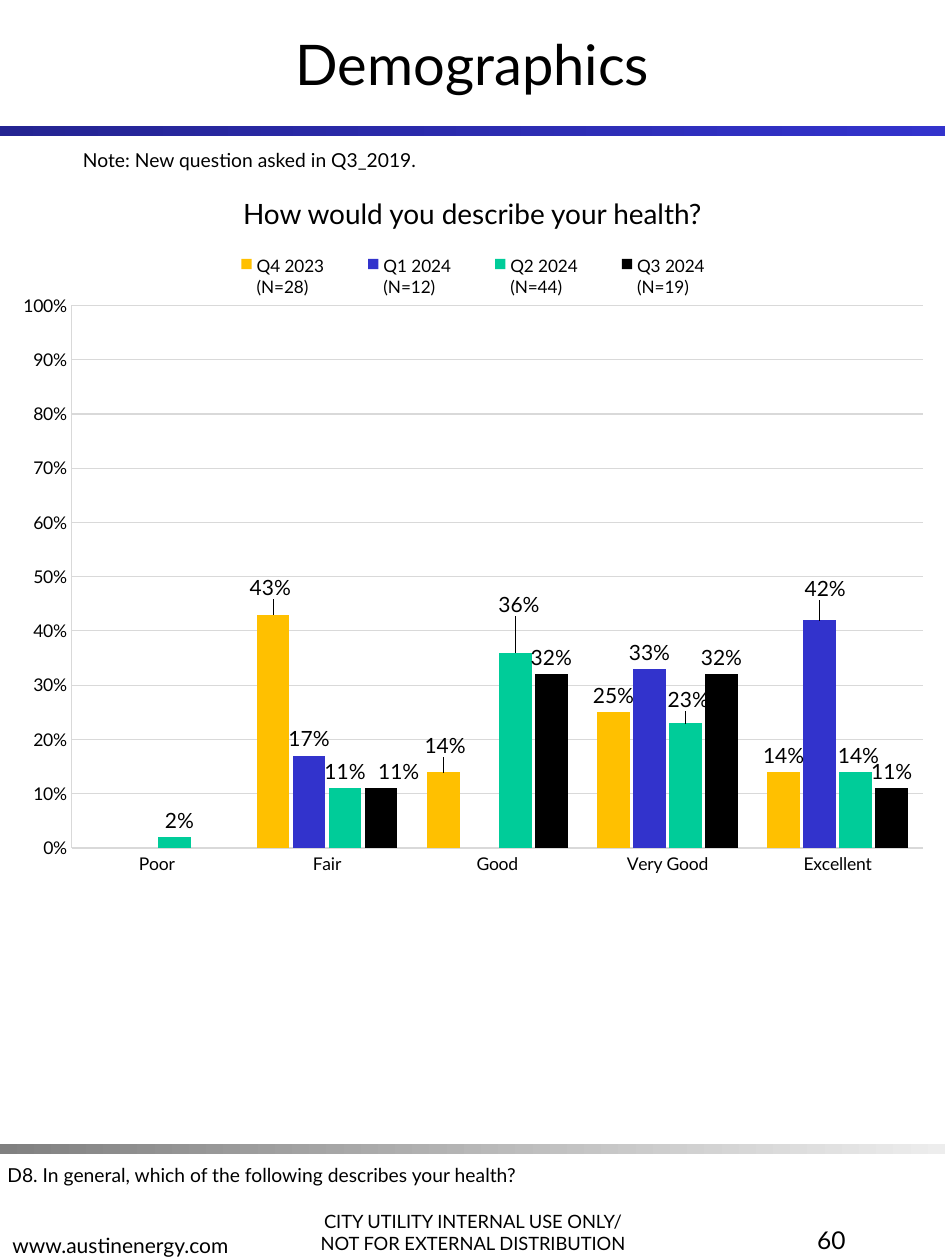
from dataclasses import dataclass

from pptx import Presentation
from pptx.chart.data import CategoryChartData
from pptx.dml.color import RGBColor
from pptx.enum.chart import XL_CHART_TYPE, XL_LABEL_POSITION, XL_LEGEND_POSITION, XL_TICK_MARK
from pptx.enum.shapes import MSO_SHAPE
from pptx.enum.text import MSO_ANCHOR, PP_ALIGN
from pptx.oxml import parse_xml
from pptx.oxml.ns import nsdecls, qn
from pptx.util import Inches, Pt


@dataclass(frozen=True)
class Theme:
    font: str = "Lato"
    text: str = "000000"
    grid: str = "D9D9D9"
    title: float = 32
    question: float = 16
    page: float = 14
    label: float = 12
    note: float = 11
    notice: float = 10.5
    axis: float = 10
    legend: float = 9.8


@dataclass(frozen=True)
class Band:
    top: float
    start: str
    end: str


@dataclass(frozen=True)
class Quarter:
    name: str
    values: tuple
    color: str
    shifts: dict


THEME = Theme()
BANDS = [Band(1, "242492", "3333CC"), Band(9.08, "808080", "EDEDED")]
RATINGS = ["Poor", "Fair", "Good", "Very Good", "Excellent"]
QUARTERS = [
    Quarter("Q4 2023\n(N=28)", (None, 0.43, 0.14, 0.25, 0.14), "FFC000",
            {1: (-0.003, -0.015), 2: (0.002, -0.015)}),
    Quarter("Q1 2024\n(N=12)", (None, 0.17, None, 0.33, 0.42), "3233CC",
            {4: (0.006, -0.022)}),
    Quarter("Q2 2024\n(N=44)", (0.02, 0.11, 0.36, 0.23, 0.14), "00CC99",
            {0: (0.005, 0), 2: (0.004, -0.046), 3: (0.003, -0.01), 4: (0.003, 0)}),
    Quarter("Q3 2024\n(N=19)", (None, 0.11, 0.32, 0.32, 0.11), "000000",
            {1: (0.019, 0)}),
]


def rgb(color: str) -> RGBColor:
    return RGBColor.from_string(color)


def style_font(font, size: float) -> None:
    font.name = THEME.font
    font.size = Pt(size)
    font.bold = False
    font.color.rgb = rgb(THEME.text)


def add_text(slide, text: str, left: float, top: float, width: float, height: float, *,
             size: float, align=PP_ALIGN.LEFT, anchor=MSO_ANCHOR.TOP) -> None:
    sp = slide.shapes.add_textbox(Inches(left), Inches(top), Inches(width), Inches(height))
    tf = sp.text_frame
    tf.word_wrap = True
    tf.vertical_anchor = anchor
    for i, line in enumerate(text.split("\n")):
        p = tf.paragraphs[0] if i == 0 else tf.add_paragraph()
        p.alignment = align
        r = p.add_run()
        r.text = line
        style_font(r.font, size)


def add_band(slide, band: Band) -> None:
    sp = slide.shapes.add_shape(MSO_SHAPE.RECTANGLE, 0, Inches(band.top), Inches(7.5), Inches(0.08))
    sp.shadow.inherit = False
    sp.line.fill.background()
    sp.fill.gradient()
    sp.fill.gradient_angle = 0
    for stop, color, position in zip(sp.fill.gradient_stops, (band.start, band.end), (0, 1)):
        stop.color.rgb = rgb(color)
        stop.position = position


def set_layout(parent, index: int, **settings) -> None:
    for old in parent.findall(qn("c:layout")):
        parent.remove(old)
    items = "".join(f'<c:{key} val="{value}"/>' for key, value in settings.items())
    parent.insert(index, parse_xml(
        f'<c:layout {nsdecls("c")}><c:manualLayout>{items}</c:manualLayout></c:layout>'))


def style_axis(axis, width: float) -> None:
    axis.major_tick_mark = axis.minor_tick_mark = XL_TICK_MARK.NONE
    style_font(axis.tick_labels.font, THEME.axis)
    axis.format.line.color.rgb = rgb(THEME.grid)
    axis.format.line.width = Pt(width)


def style_series(series, quarter: Quarter) -> None:
    series.format.fill.solid()
    series.format.fill.fore_color.rgb = rgb(quarter.color)
    series.invert_if_negative = False
    labels = series.data_labels
    labels.show_value = True
    labels.number_format = "0%"
    labels.number_format_is_linked = False
    labels.position = XL_LABEL_POSITION.OUTSIDE_END
    style_font(labels.font, THEME.label)
    for index, (dx, dy) in quarter.shifts.items():
        label = series.points[index].data_label
        style_font(label.font, THEME.label)
        label.position = XL_LABEL_POSITION.OUTSIDE_END
        set_layout(label._get_or_add_dLbl(), 1, x=dx, y=dy)


def add_health_chart(slide) -> None:
    data = CategoryChartData(number_format="0%")
    data.categories = RATINGS
    for quarter in QUARTERS:
        data.add_series(quarter.name, quarter.values)
    chart = slide.shapes.add_chart(XL_CHART_TYPE.COLUMN_CLUSTERED, Inches(0.06), Inches(1.66),
                                   Inches(7.39), Inches(5.35), data).chart
    chart.has_title = False
    style_font(chart.font, THEME.axis)
    plot = chart.plots[0]
    plot.gap_width = 90
    plot.overlap = -10
    plot.vary_by_categories = False
    for series, quarter in zip(plot.series, QUARTERS):
        style_series(series, quarter)

    style_axis(chart.category_axis, 0.62)
    axis = chart.value_axis
    style_axis(axis, 0.41)
    axis.minimum_scale, axis.maximum_scale, axis.major_unit = 0, 1, 0.1
    axis.tick_labels.number_format = "0%"
    axis.tick_labels.number_format_is_linked = False
    axis.major_gridlines.format.line.color.rgb = rgb(THEME.grid)
    axis.major_gridlines.format.line.width = Pt(0.62)

    chart.has_legend = True
    legend = chart.legend
    legend.position = XL_LEGEND_POSITION.TOP
    legend.include_in_layout = False
    style_font(legend.font, THEME.legend)
    set_layout(legend._element, 1, xMode="edge", yMode="edge", x=0.21, y=0.06, w=0.58, h=0.08)
    set_layout(chart._chartSpace.chart.plotArea, 0, layoutTarget="inner", xMode="edge",
               yMode="edge", x=0.069, y=0.143, w=0.914, h=0.805)


def main() -> None:
    prs = Presentation()
    prs.slide_width, prs.slide_height = Inches(7.5), Inches(10)
    slide = prs.slides.add_slide(prs.slide_layouts[6])
    for band in BANDS:
        add_band(slide, band)
    add_text(slide, "CITY UTILITY INTERNAL USE ONLY/\nNOT FOR EXTERNAL DISTRIBUTION",
             2.16, 9.33, 3.19, 0.67, size=THEME.notice, align=PP_ALIGN.CENTER,
             anchor=MSO_ANCHOR.BOTTOM)
    add_text(slide, "www.austinenergy.com", 0, 9.36, 3.19, 0.67, size=THEME.label,
             anchor=MSO_ANCHOR.BOTTOM)
    add_text(slide, "Demographics", 0, 0, 7.5, 1, size=THEME.title, align=PP_ALIGN.CENTER,
             anchor=MSO_ANCHOR.MIDDLE)
    add_text(slide, "60", 5.25, 9.67, 1.56, 0.67, size=THEME.page, align=PP_ALIGN.RIGHT)
    add_text(slide, "D8. In general, which of the following describes your health?",
             -0.04, 9.18, 6.85, 0.29, size=THEME.note)
    add_health_chart(slide)
    add_text(slide, "Note: New question asked in Q3_2019.", 0.56, 1.13, 6.44, 0.29,
             size=THEME.note)
    add_text(slide, "How would you describe your health?", 1.69, 1.51, 4.12, 0.37,
             size=THEME.question, align=PP_ALIGN.CENTER)
    prs.save("out.pptx")


if __name__ == "__main__":
    main()
